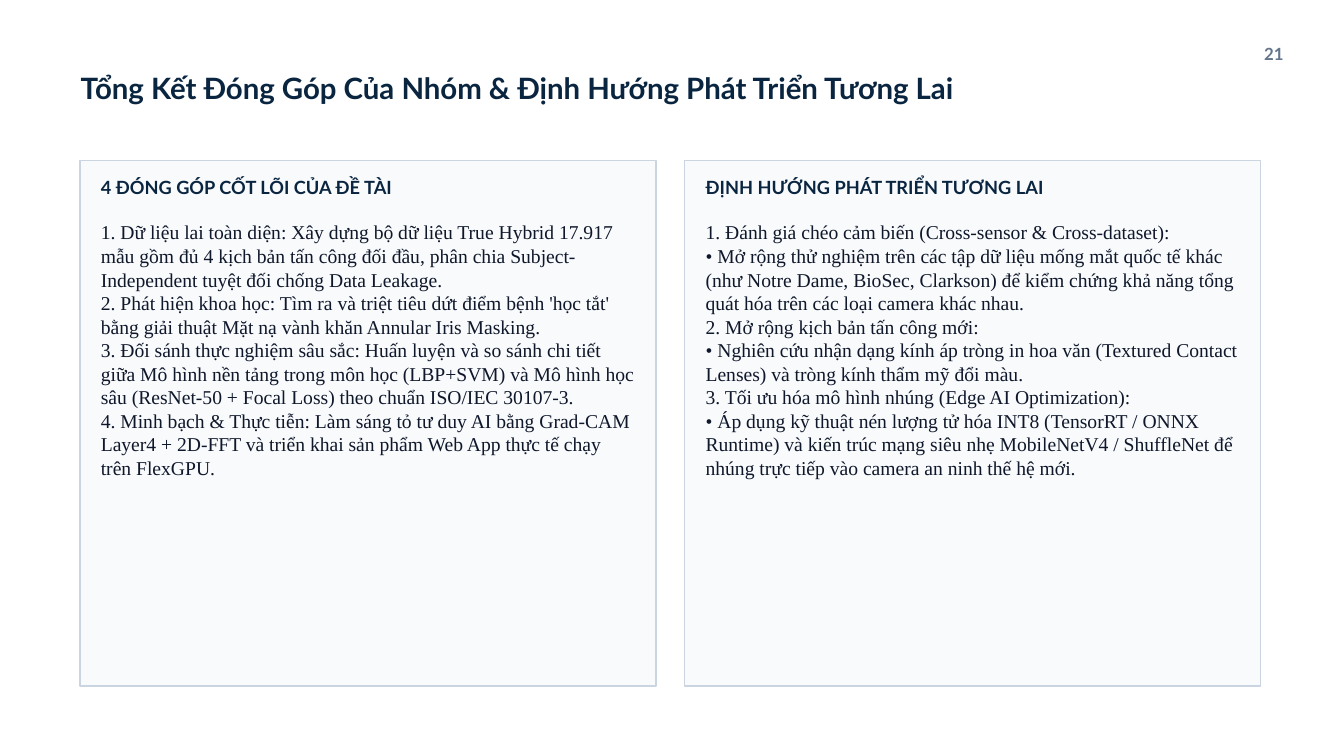
from dataclasses import dataclass

from pptx import Presentation
from pptx.dml.color import RGBColor
from pptx.enum.shapes import MSO_SHAPE
from pptx.enum.text import PP_ALIGN
from pptx.util import Inches, Pt


@dataclass(frozen=True)
class Theme:
    background: RGBColor = RGBColor(0xFF, 0xFF, 0xFF)
    navy: RGBColor = RGBColor(0x0A, 0x25, 0x40)
    muted: RGBColor = RGBColor(0x64, 0x74, 0x8B)
    ink: RGBColor = RGBColor(0x0F, 0x17, 0x2A)
    panel: RGBColor = RGBColor(0xF8, 0xFA, 0xFC)
    border: RGBColor = RGBColor(0xCB, 0xD5, 0xE1)
    heading_font: str = "Lato"
    body_font: str = "Times New Roman"
    title_size: float = 31.5
    number_size: float = 18
    heading_size: float = 19.5
    body_size: float = 21
    title_leading: float = 37.8
    number_leading: float = 21.6
    heading_leading: float = 23.4
    body_leading: float = 25.2


theme = Theme()


def add_text(slide, left, top, width, height, lines, size, leading, color,
             font=theme.heading_font, bold=True, align=PP_ALIGN.LEFT):
    box = slide.shapes.add_textbox(Inches(left), Inches(top), Inches(width), Inches(height))
    text_frame = box.text_frame
    text_frame.word_wrap = True
    text_frame.margin_left = text_frame.margin_right = 0
    text_frame.margin_top = text_frame.margin_bottom = 0
    text_frame.text = "\n".join(lines)
    for paragraph in text_frame.paragraphs:
        paragraph.alignment = align
        paragraph.line_spacing = Pt(leading)
        for run in paragraph.runs:
            run.font.name = font
            run.font.size = Pt(size)
            run.font.bold = bold
            run.font.color.rgb = color


columns = [
    ("4 ĐÓNG GÓP CỐT LÕI CỦA ĐỀ TÀI", [
        "1. Dữ liệu lai toàn diện: Xây dựng bộ dữ liệu True Hybrid 17.917 mẫu gồm đủ 4 kịch bản "
        "tấn công đối đầu, phân chia Subject-Independent tuyệt đối chống Data Leakage.",
        "2. Phát hiện khoa học: Tìm ra và triệt tiêu dứt điểm bệnh 'học tắt' bằng giải thuật "
        "Mặt nạ vành khăn Annular Iris Masking.",
        "3. Đối sánh thực nghiệm sâu sắc: Huấn luyện và so sánh chi tiết giữa Mô hình nền tảng "
        "trong môn học (LBP+SVM) và Mô hình học sâu (ResNet-50 + Focal Loss) theo chuẩn "
        "ISO/IEC 30107-3.",
        "4. Minh bạch & Thực tiễn: Làm sáng tỏ tư duy AI bằng Grad-CAM Layer4 + 2D-FFT và "
        "triển khai sản phẩm Web App thực tế chạy trên FlexGPU.",
    ]),
    ("ĐỊNH HƯỚNG PHÁT TRIỂN TƯƠNG LAI", [
        "1. Đánh giá chéo cảm biến (Cross-sensor & Cross-dataset):",
        "• Mở rộng thử nghiệm trên các tập dữ liệu mống mắt quốc tế khác (như Notre Dame, "
        "BioSec, Clarkson) để kiểm chứng khả năng tổng quát hóa trên các loại camera khác nhau.",
        "2. Mở rộng kịch bản tấn công mới:",
        "• Nghiên cứu nhận dạng kính áp tròng in hoa văn (Textured Contact Lenses) và tròng "
        "kính thẩm mỹ đổi màu.",
        "3. Tối ưu hóa mô hình nhúng (Edge AI Optimization):",
        "• Áp dụng kỹ thuật nén lượng tử hóa INT8 (TensorRT / ONNX Runtime) và kiến trúc mạng "
        "siêu nhẹ MobileNetV4 / ShuffleNet để nhúng trực tiếp vào camera an ninh thế hệ mới.",
    ]),
]

presentation = Presentation()
presentation.slide_width = Inches(20)
presentation.slide_height = Inches(11.25)
slide = presentation.slides.add_slide(presentation.slide_layouts[6])
slide.background.fill.solid()
slide.background.fill.fore_color.rgb = theme.background

add_text(slide, 1.2, 1.04, 16.5, 0.84,
         ["Tổng Kết Đóng Góp Của Nhóm & Định Hướng Phát Triển Tương Lai"],
         theme.title_size, theme.title_leading, theme.navy)
add_text(slide, 18.1, 0.65, 1, 0.42, ["21"],
         theme.number_size, theme.number_leading, theme.muted, align=PP_ALIGN.RIGHT)

column_left, column_pitch = 1.19, 9
panel_width, text_inset, text_width = 8.57, 0.31, 7.95

for index, (heading, lines) in enumerate(columns):
    left = column_left + index * column_pitch
    panel = slide.shapes.add_shape(
        MSO_SHAPE.RECTANGLE, Inches(left), Inches(2.39), Inches(panel_width), Inches(7.82))
    panel.shadow.inherit = False
    panel.fill.solid()
    panel.fill.fore_color.rgb = theme.panel
    panel.line.color.rgb = theme.border
    panel.line.width = Pt(1.5)
    add_text(slide, left + text_inset, 2.62, text_width, 0.57, [heading],
             theme.heading_size, theme.heading_leading, theme.navy)
    add_text(slide, left + text_inset, 3.28, text_width, 3.8, lines,
             theme.body_size, theme.body_leading, theme.ink,
             font=theme.body_font, bold=False)

presentation.save("out.pptx")
